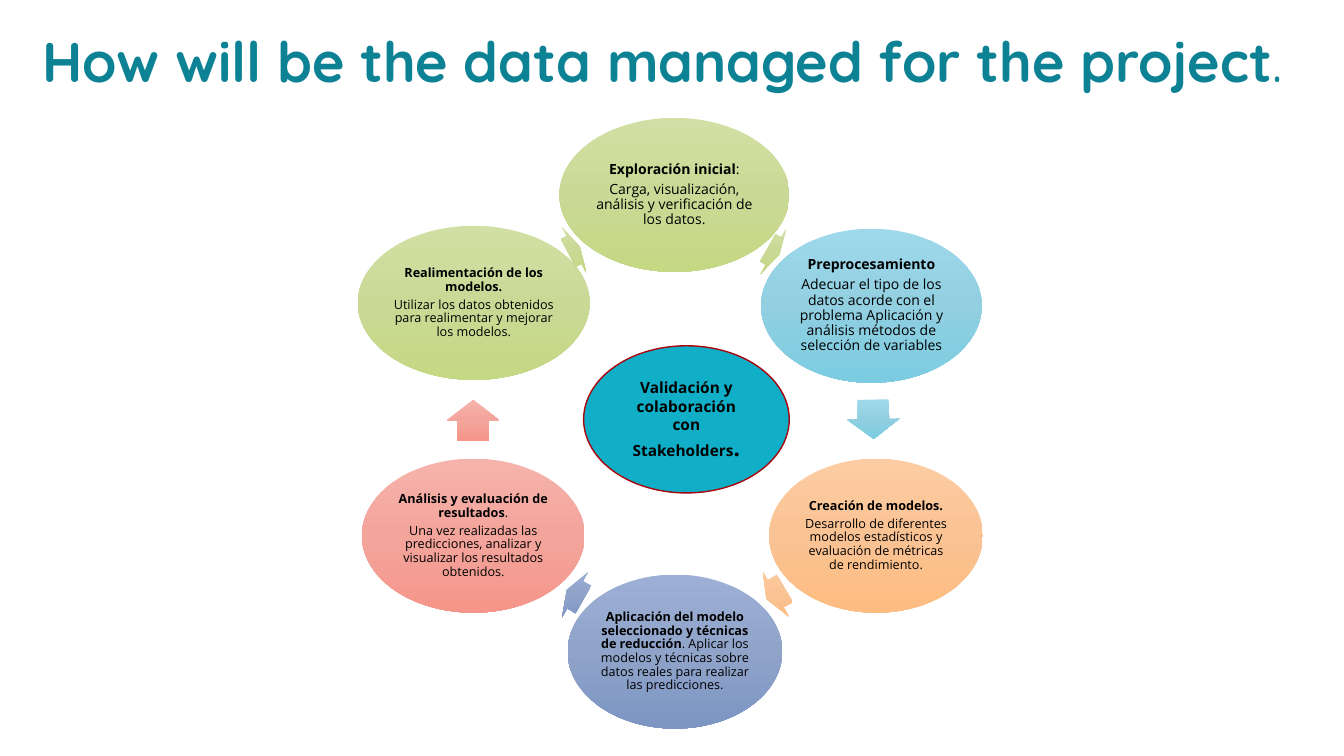
"""Build a slide showing the data management cycle around its stakeholders."""
from copy import deepcopy
from dataclasses import dataclass

from pptx import Presentation
from pptx.dml.color import RGBColor
from pptx.enum.shapes import MSO_SHAPE
from pptx.enum.text import MSO_ANCHOR, PP_ALIGN
from pptx.oxml.ns import qn
from pptx.util import Pt

OVAL, ARROW = MSO_SHAPE.OVAL, MSO_SHAPE.RIGHT_ARROW
MIDDLE = MSO_ANCHOR.MIDDLE
CENTER, LEFT = PP_ALIGN.CENTER, PP_ALIGN.LEFT


@dataclass(frozen=True)
class Theme:
    title_font: str = "Quicksand"
    body_font: str = "Open Sans"
    title: str = "0D8295"
    text: str = "000000"
    hub: str = "11AEC7"
    hub_line: str = "A7040E"
    green: tuple = ("D2DFA4", "CAD996", "C5D883")
    blue: tuple = ("9ED9EB", "91CFE1", "7CCCE1")
    orange: tuple = ("FCCCA2", "FAC394", "FEBC80")
    indigo: tuple = ("9DAFD4", "90A4CA", "7C95C3")
    red: tuple = ("F6B3AB", "F3A59C", "F6958A")
    title_size: int = 40
    large: int = 10
    small: int = 9
    hub_size: int = 11
    hub_stop: int = 16


T = Theme()
OVAL_H, ARROW_H = 110, 37.4
INSET, GAP = 0.72, 0.35

# (oval left, top, width), (arrow left, top, width, rotation), colours, size, paragraphs
STAGES = [
    ((399.6, 84.2, 164.2), (547.9, 160.6, 9.4, 29.4), T.green, T.large,
     [[("Exploración inicial", True), (":", False)],
      [("Carga, visualización, análisis y verificación de los datos.", False)]]),
    ((543.6, 163.4, 157.7), (609.8, 280.8, 28.1, 88.8), T.blue, T.large,
     [[("Preprocesamiento", True)],
      [("Adecuar el tipo de los datos acorde con el problema Aplicación y "
        "análisis métodos de selección de variables", False)]]),
    ((549.4, 327.6, 152.6), (546.5, 405.4, 15.1, 150), T.orange, T.small,
     [[("Creación de modelos.", True)],
      [("Desarrollo de diferentes modelos estadísticos y evaluación de "
        "métricas de rendimiento.", False)]]),
    ((405.4, 410.4, 153.4), (403.9, 406.1, 13.7, 210), T.indigo, T.small,
     [[("Aplicación del modelo seleccionado y técnicas de reducción", True),
       (". Aplicar los modelos y técnicas sobre datos reales para realizar "
        "las predicciones.", False)]]),
    ((258.5, 327.6, 159.1), (323.3, 281.5, 29.5, 270), T.red, T.small,
     [[("Análisis y evaluación de resultados", True), (".", False)],
      [("Una vez realizadas las predicciones, analizar y visualizar los "
        "resultados obtenidos.", False)]]),
    ((255.6, 161.3, 165.6), (405.4, 159.8, 9.4, 331.9), T.green, T.small,
     [[("Realimentación de los modelos.", True)],
      [("Utilizar los datos obtenidos para realimentar y mejorar los modelos.", False)]]),
]


def add_gradient_shape(kind, left, top, width, height, colors):
    sp = s.shapes.add_shape(kind, Pt(left), Pt(top), Pt(width), Pt(height))
    sp.shadow.inherit = False
    sp.line.fill.background()
    sp.fill.gradient()
    sp.fill.gradient_angle = 270
    grad = sp._element.spPr.find(qn("a:gradFill"))
    grad.set("rotWithShape", "0")
    first = grad.find(qn("a:gsLst"))[0]
    first.addnext(deepcopy(first))
    for i, (stop, color) in enumerate(zip(sp.fill.gradient_stops, colors)):
        stop.position = i / 2
        stop.color.rgb = RGBColor.from_string(color)
    return sp


def write_paragraph(p, runs, font, size, color, align):
    p.alignment = align
    p.font.name, p.font.size = font, Pt(size)
    p.font.color.rgb = RGBColor.from_string(color)
    for text, bold in runs:
        r = p.add_run()
        r.text = text
        r.font.bold = bold


prs = Presentation()
prs.slide_width, prs.slide_height = Pt(960), Pt(540)
s = prs.slides.add_slide(prs.slide_layouts[6])

title = s.shapes.add_textbox(Pt(23), Pt(0), Pt(914.4), Pt(92.2))
tf = title.text_frame
tf.word_wrap = True
tf.vertical_anchor = MIDDLE
write_paragraph(tf.paragraphs[0],
                [("How will be the data managed for the project", True), (".", False)],
                T.title_font, T.title_size, T.title, LEFT)
tf.paragraphs[0].line_spacing = 0.9

for oval, (left, top, width, rotation), colors, size, paragraphs in STAGES:
    sp = add_gradient_shape(OVAL, *oval, OVAL_H, colors)
    tf = sp.text_frame
    tf.word_wrap = True
    tf.vertical_anchor = MIDDLE
    tf.margin_left = tf.margin_right = tf.margin_top = tf.margin_bottom = Pt(INSET)
    for i, runs in enumerate(paragraphs):
        p = tf.add_paragraph() if i else tf.paragraphs[0]
        write_paragraph(p, runs, T.body_font, size, T.text, CENTER)
        p.line_spacing = 0.9
        p.space_after = Pt(GAP * size)

    arrow = add_gradient_shape(ARROW, left, top, width, ARROW_H, colors)
    arrow.rotation = rotation
    arrow.adjustments[0], arrow.adjustments[1] = 0.6, 0.5

hub = s.shapes.add_shape(OVAL, Pt(416.9), Pt(247), Pt(146.9), Pt(105.1))
hub.shadow.inherit = False
hub.fill.solid()
hub.fill.fore_color.rgb = RGBColor.from_string(T.hub)
hub.line.color.rgb = RGBColor.from_string(T.hub_line)
hub.line.width = Pt(1)
tf = hub.text_frame
tf.word_wrap = True
tf.vertical_anchor = MIDDLE
p = tf.paragraphs[0]
write_paragraph(p, [("Validación y colaboración con Stakeholders", True), (".", True)],
                T.body_font, T.hub_size, T.text, CENTER)
p.runs[1].font.size = Pt(T.hub_stop)

prs.save("out.pptx")
